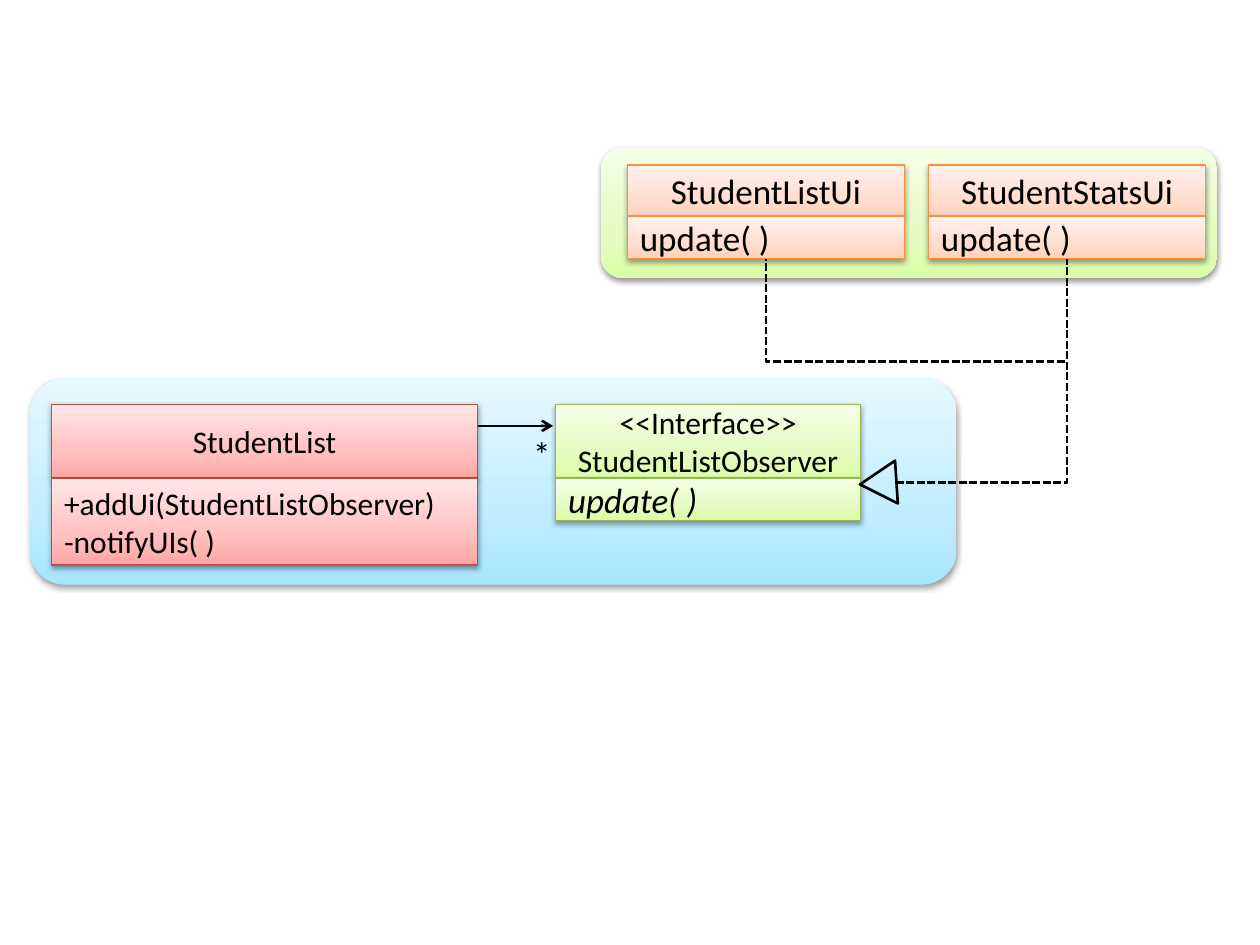
from lxml import etree
from copy import deepcopy
from pptx import Presentation
from pptx import util as u
from pptx.dml.color import RGBColor
from pptx.enum import dml, shapes, text
from pptx.oxml import ns

COLORS = {
    "ink": "000000",
    "blue": ("A7E6FF", "C1EDFF", "E7F8FF"),
    "green": ("DAFDA7", "E4FCC2", "F5FFE7"),
    "orange": ("FFD2BD", "FFDED0", "FFF2ED"),
    "red": ("FFA6A5", "FFC0BF", "FFE7E7"),
    "green_edge": "98B955",
    "orange_edge": "F69240",
    "red_edge": "BF4C48",
}
STOPS = (0, 0.35, 1)


class Diagram:
    font = "Calibri"
    columns, rows = 100, 75

    def __init__(self, prs):
        self.column = prs.slide_width / self.columns
        self.row = prs.slide_height / self.rows
        self.slide = prs.slides.add_slide(prs.slide_layouts[6])

    def place(self, x, y):
        return round(x * self.column), round(y * self.row)

    def child(self, parent, tag, **attrs):
        return etree.SubElement(parent, ns.qn(tag), {k: str(v) for k, v in attrs.items()})

    def shape(self, kind, x, y, w, h):
        sp = self.slide.shapes.add_shape(kind, *self.place(x, y), *self.place(w, h))
        sp.shadow.inherit = False
        return sp

    def shade(self, sp, color):
        sp.fill.gradient()
        sp.fill.gradient_angle = 90
        stops = sp._element.spPr.find(ns.qn("a:gradFill")).find(ns.qn("a:gsLst"))
        stops.insert(1, deepcopy(stops[0]))
        for stop, position, value in zip(sp.fill.gradient_stops, STOPS, COLORS[color]):
            stop.position = position
            stop.color.rgb = RGBColor.from_string(value)
        effects = sp._element.spPr.find(ns.qn("a:effectLst"))
        shadow = self.child(effects, "a:outerShdw", blurRad=40000, dist=20000,
                            dir=5400000, rotWithShape=0)
        tint = self.child(shadow, "a:srgbClr", val=COLORS["ink"])
        self.child(tint, "a:alpha", val=38000)

    def stroke(self, line, color="ink", width=1.5):
        line.color.rgb = RGBColor.from_string(COLORS[color])
        line.width = u.Pt(width)

    def add_lines(self, sp, lines, size, centered=True, italic=None):
        tf = sp.text_frame
        tf.word_wrap = True
        for i, line in enumerate(lines):
            p = tf.paragraphs[0] if i == 0 else tf.add_paragraph()
            p.alignment = text.PP_ALIGN.CENTER if centered else text.PP_ALIGN.LEFT
            r = p.add_run()
            r.text = line
            r.font.name, r.font.size, r.font.italic = self.font, u.Pt(size), italic
            r.font.color.rgb = RGBColor.from_string(COLORS["ink"])

    def group_panel(self, x, y, w, h, color):
        sp = self.shape(shapes.MSO_SHAPE.ROUNDED_RECTANGLE, x, y, w, h)
        self.shade(sp, color)
        sp.line.fill.background()

    def class_box(self, x, y, w, heights, color, names, methods, sizes, italic=None):
        head, body = heights
        compartments = ((y, head, names, sizes[0], True, None),
                        (y + head, body, methods, sizes[1], False, italic))
        for top, h, lines, size, centered, slant in compartments:
            sp = self.shape(shapes.MSO_SHAPE.RECTANGLE, x, top, w, h)
            self.shade(sp, color)
            self.stroke(sp.line, color + "_edge", 0.75)
            sp.text_frame.vertical_anchor = text.MSO_ANCHOR.MIDDLE
            self.add_lines(sp, lines, size, centered, slant)

    def label(self, x, y, w, h, content, size):
        box = self.slide.shapes.add_textbox(*self.place(x, y), *self.place(w, h))
        self.add_lines(box, [content], size)

    def triangle(self, x, y, w, h, angle):
        sp = self.shape(shapes.MSO_SHAPE.ISOSCELES_TRIANGLE, x, y, w, h)
        sp.fill.background()
        self.stroke(sp.line)
        sp.rotation = angle

    def connector(self, start, end, preset="line", adjust=(), dashed=False, arrow=False):
        c = self.slide.shapes.add_connector(
            shapes.MSO_CONNECTOR.STRAIGHT, *self.place(*start), *self.place(*end))
        self.stroke(c.line)
        if dashed:
            c.line.dash_style = dml.MSO_LINE.SQUARE_DOT
        spPr = c._element.spPr
        if arrow:
            self.child(spPr.find(ns.qn("a:ln")), "a:tailEnd", type="arrow")
        geometry = spPr.find(ns.qn("a:prstGeom"))
        geometry.set("prst", preset)
        for i, share in enumerate(adjust, 1):
            self.child(geometry.find(ns.qn("a:avLst")), "a:gd", name=f"adj{i}",
                       fmla=f"val {round(share * 100000)}")
        self.child(spPr, "a:effectLst")


def main():
    prs = Presentation()
    prs.slide_width, prs.slide_height = u.Inches(10), u.Inches(7.5)
    s = Diagram(prs)

    s.group_panel(2.4, 30, 73.5, 16.4, "blue")
    s.group_panel(47.7, 11.7, 48.9, 10.4, "green")

    s.class_box(44.1, 32.1, 24.2, (5.85, 3.35), "green",
                ["<<Interface>>", "StudentListObserver"], ["update( )"], (18, 20), True)
    s.class_box(4.1, 32.1, 33.8, (5.85, 6.9), "red", ["StudentList"],
                ["+addUi(StudentListObserver)", "-notifyUIs( )"], (18, 18))
    s.connector((37.9, 33.8), (43.9, 33.8), arrow=True)
    s.label(40.8, 33.8, 4.4, 4.4, "*", 20)

    s.triangle(68, 36.9, 3.4, 2.9, 266.3)
    tip, list_ui, stats_ui = (71.1, 38.3), (60.8, 20.5), (84.7, 20.5)
    trunk = (stats_ui[0] - tip[0]) / (list_ui[0] - tip[0])
    s.connector(tip, list_ui, "bentConnector4", (trunk, 0.54), dashed=True)
    s.connector(tip, stats_ui, "bentConnector2", dashed=True)

    for i, name in enumerate(("StudentListUi", "StudentStatsUi")):
        s.class_box(49.8 + i * 23.9, 13.1, 22, (4.05, 3.35), "orange",
                    [name], ["update( )"], (20, 20))

    prs.save("out.pptx")


if __name__ == "__main__":
    main()
